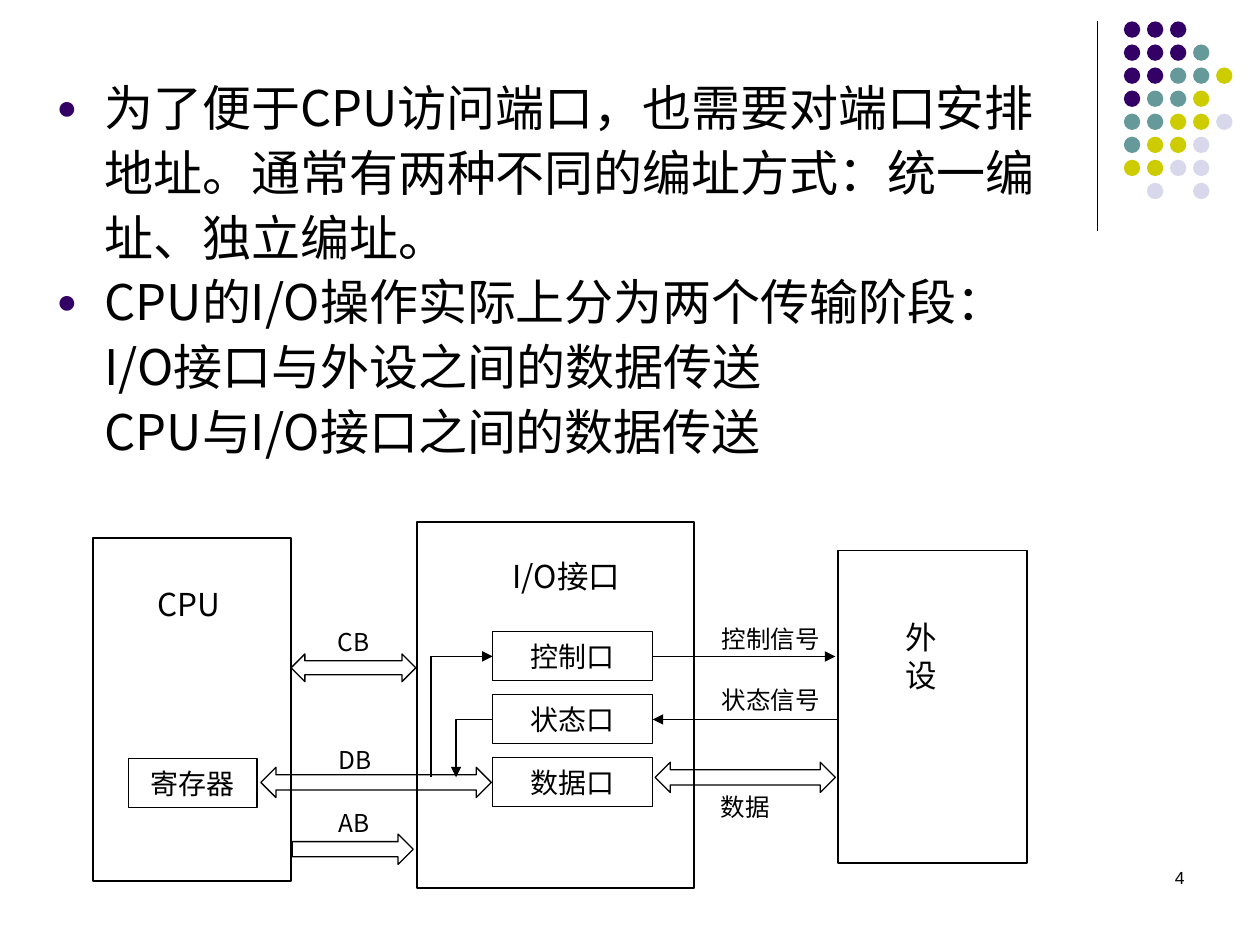
from dataclasses import dataclass

from lxml import etree
from pptx import Presentation
from pptx.dml.color import RGBColor
from pptx.enum.shapes import MSO_CONNECTOR, MSO_SHAPE
from pptx.enum.text import MSO_ANCHOR, MSO_AUTO_SIZE, PP_ALIGN
from pptx.oxml.ns import qn
from pptx.util import Inches, Pt

RECT, OVAL = MSO_SHAPE.RECTANGLE, MSO_SHAPE.OVAL
BOTH_WAYS, RIGHT_WAY = MSO_SHAPE.LEFT_RIGHT_ARROW, MSO_SHAPE.RIGHT_ARROW
STRAIGHT, ELBOW = MSO_CONNECTOR.STRAIGHT, MSO_CONNECTOR.ELBOW
LEFT, CENTER, RIGHT = PP_ALIGN.LEFT, PP_ALIGN.CENTER, PP_ALIGN.RIGHT
TOP, MIDDLE = MSO_ANCHOR.TOP, MSO_ANCHOR.MIDDLE
NO_FIT = MSO_AUTO_SIZE.NONE


@dataclass(frozen=True)
class Theme:
    ink: str = "000000"
    purple: str = "330066"
    teal: str = "669999"
    lime: str = "CCCC00"
    mist: str = "D8D8EC"
    font: str = "Noto Sans CJK SC"
    plain_font: str = "Arial"
    body: int = 28
    heading: int = 18
    port: int = 16
    label: int = 14
    number: int = 10
    thin: float = 0.75
    frame: float = 1
    leading: float = 1.2
    body_leading: float = 1.32


def cells(*values):
    """Lengths on a grid of 100 columns by 75 rows."""
    return [Inches(v / 10) for v in values]


class Deck:
    def __init__(self, theme):
        self.theme = theme
        self.prs = Presentation()
        self.prs.slide_width, self.prs.slide_height = cells(100, 75)
        self.s = None

    def new_slide(self):
        self.s = self.prs.slides.add_slide(self.prs.slide_layouts[1])
        title = self.s.shapes.title
        title.element.getparent().remove(title.element)

    def style(self, p, size, font=None, align=LEFT, leading=None):
        font = font or self.theme.font
        p.alignment = align
        p.line_spacing = Pt(round(size * (leading or self.theme.leading), 1))
        p.space_before = p.space_after = Pt(0)
        for r in p.runs:
            r.font.size, r.font.name = Pt(size), font
            r.font.color.rgb = RGBColor.from_string(self.theme.ink)
            etree.SubElement(r.font._element, qn("a:ea"), typeface=font)

    def bullets(self, at, items):
        sp = self.s.placeholders[1]
        sp.left, sp.top, sp.width, sp.height = cells(*at)
        tf = sp.text_frame
        tf.auto_size, tf.word_wrap, tf.vertical_anchor = NO_FIT, True, TOP
        tf.margin_top, tf.margin_right = Inches(0.05), Inches(0.25)
        tf.text = items[0]
        for item in items[1:]:
            tf.add_paragraph().text = item
        for p in tf.paragraphs:
            pPr = p._p.get_or_add_pPr()
            pPr.set("marL", str(Inches(0.38)))
            pPr.set("indent", str(-Inches(0.38)))
            color = etree.SubElement(pPr, qn("a:buClr"))
            etree.SubElement(color, qn("a:srgbClr"), val=self.theme.purple)
            etree.SubElement(pPr, qn("a:buSzPct"), val="70000")
            etree.SubElement(pPr, qn("a:buFont"), typeface=self.theme.plain_font)
            etree.SubElement(pPr, qn("a:buChar"), char="●")
            self.style(p, self.theme.body, leading=self.theme.body_leading)

    def text(self, at, text, size, font=None, align=LEFT):
        tf = self.s.shapes.add_textbox(*cells(*at)).text_frame
        tf.word_wrap, tf.margin_top = False, Inches(0.05)
        tf.text = text
        for p in tf.paragraphs:
            self.style(p, size, font, align)

    def shape(self, kind, at, text="", fill=None, width=None):
        sp = self.s.shapes.add_shape(kind, *cells(*at))
        sp.shadow.inherit = False
        if fill:
            sp.fill.solid()
            sp.fill.fore_color.rgb = RGBColor.from_string(fill)
            sp.line.fill.background()
        else:
            sp.fill.background()
            sp.line.color.rgb = RGBColor.from_string(self.theme.ink)
            sp.line.width = Pt(width or self.theme.thin)
        if text:
            tf = sp.text_frame
            tf.word_wrap, tf.vertical_anchor = False, MIDDLE
            tf.text = text
            self.style(tf.paragraphs[0], self.theme.port, align=CENTER)

    def line(self, start, end, kind=STRAIGHT, arrow=None, width=None):
        """arrow is headEnd (at start) or tailEnd (at end)."""
        c = self.s.shapes.add_connector(kind, *cells(*start, *end))
        c.line.color.rgb = RGBColor.from_string(self.theme.ink)
        c.line.width = Pt(width or self.theme.thin)
        spPr = c._element.spPr
        if kind == ELBOW:  # a single corner: across, then down
            spPr.find(qn("a:prstGeom")).set("prst", "bentConnector2")
        if arrow:
            etree.SubElement(spPr.find(qn("a:ln")), qn(f"a:{arrow}"), type="triangle")
        etree.SubElement(spPr, qn("a:effectLst"))

    def dots(self, left, top, pitch, size, rows):
        t = self.theme
        colors = {"P": t.purple, "T": t.teal, "L": t.lime, "M": t.mist}
        for i, row in enumerate(rows):
            for j, key in enumerate(row):
                if key in colors:
                    at = (left + j * pitch, top + i * pitch, size, size)
                    self.shape(OVAL, at, fill=colors[key])


def main():
    t = Theme()
    d = Deck(t)
    d.new_slide()

    # Corner ornament
    d.line((87.1, 1.7), (87.1, 18.3))
    d.dots(89.2, 1.7, 1.83, 1.3,
           ["PPP", "PPPT", "PPTTL", "PTTL", "TTLLM", "TLLM", "LLMM", ".M.M"])

    # Page number and body text
    d.text((71.7, 68.3, 23.3, 5), "4", t.number, t.plain_font, RIGHT)
    d.bullets((3.5, 5.2, 84.4, 35.9), [
        "为了便于CPU访问端口，也需要对端口安排地址。通常有两种不同的编址方式：统一编址、独立编址。",
        "CPU的I/O操作实际上分为两个传输阶段：\vI/O接口与外设之间的数据传送\vCPU与I/O接口之间的数据传送",
    ])

    # Frames: CPU, interface, peripheral
    for at in ((7.4, 42.7, 15.7, 27.2), (33.1, 41.4, 22, 29.1), (66.5, 43.7, 15, 24.8)):
        d.shape(RECT, at, width=t.frame)
    for x, y, w, h, name in ((11.5, 45.9, 8.7, 3.9, "CPU"),
                             (39.7, 43.7, 12.3, 3.9, "I/O接口"),
                             (70.9, 48.6, 7.1, 7.6, "外\n设")):
        d.text((x, y, w, h), name, t.heading)

    # Register and the three ports
    d.shape(RECT, (10.2, 60.2, 10.2, 3.9), "寄存器")
    for i, port in enumerate(("控制口", "状态口", "数据口")):
        d.shape(RECT, (39.1, 50.1 + 5 * i, 12.7, 3.9), port)

    # Buses
    for kind, at in ((BOTH_WAYS, (23.1, 51.9, 9.9, 2.2)),
                     (BOTH_WAYS, (20.7, 60.9, 18.3, 2.4)),
                     (RIGHT_WAY, (23.2, 66.2, 9.6, 2.4)),
                     (BOTH_WAYS, (52, 60.5, 14.3, 2.4))):
        d.shape(kind, at)

    # Signal lines
    d.line((66.5, 57.1), (51.8, 57.1), arrow="tailEnd")
    d.line((51.8, 52.1), (66.3, 52.1), arrow="tailEnd")
    d.line((39.1, 57.1), (36.2, 61.7), ELBOW, "tailEnd")
    d.line((39.1, 52.1), (34.2, 61.7), ELBOW, "headEnd", t.frame)

    # Bus and signal labels
    for x, y, w, name in ((25.8, 49.3, 4.7, "CB"), (25.9, 58.6, 8.7, "DB"),
                          (25.9, 63.6, 4.7, "AB"), (56.3, 49, 10.2, "控制信号"),
                          (56.3, 53.9, 10.2, "状态信号"), (56.2, 62.4, 6.4, "数据")):
        d.text((x, y, w, 3.9), name, t.label)

    d.prs.save("out.pptx")


if __name__ == "__main__":
    main()
